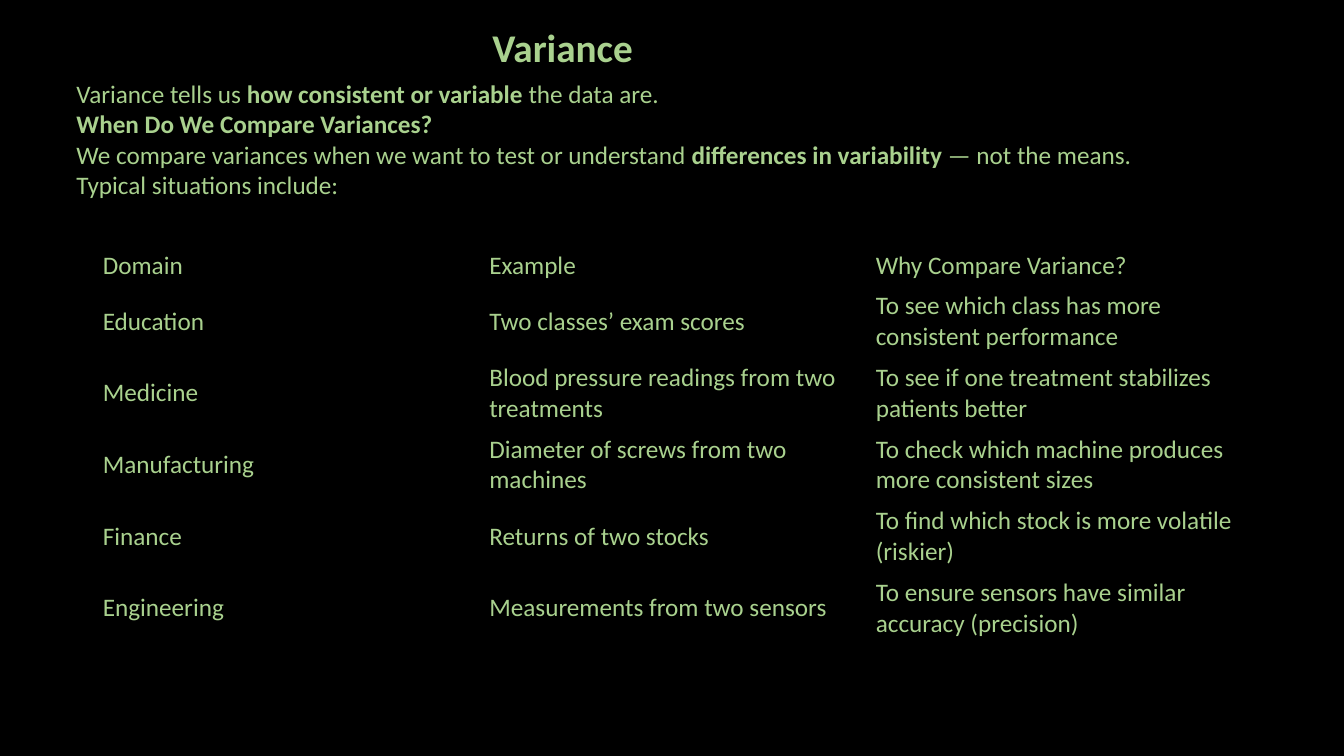
from dataclasses import dataclass

from pptx import Presentation
from pptx.dml.color import RGBColor
from pptx.enum.text import MSO_ANCHOR, MSO_AUTO_SIZE, PP_ALIGN
from pptx.oxml.ns import qn
from pptx.util import Inches, Pt

MIDDLE, TOP = MSO_ANCHOR.MIDDLE, MSO_ANCHOR.TOP
CENTER, LEFT = PP_ALIGN.CENTER, PP_ALIGN.LEFT
FIT_SHAPE, FIT_NONE = MSO_AUTO_SIZE.SHAPE_TO_FIT_TEXT, MSO_AUTO_SIZE.NONE
TITLE_ONLY_LAYOUT = 5
PLAIN_TABLE_STYLE = "{2D5ABB26-0587-4C30-8999-92F81FD0307C}"


@dataclass(frozen=True)
class Theme:
    background: RGBColor = RGBColor(0x00, 0x00, 0x00)
    text: RGBColor = RGBColor(0xA9, 0xD1, 0x8E)
    font: str = "Calibri"
    title_size: int = 28
    body_size: int = 18


@dataclass(frozen=True)
class Situation:
    domain: str
    example: str
    reason: str


THEME = Theme()
HEADER = Situation("Domain", "Example", "Why Compare Variance?")
SITUATIONS = [
    Situation("Education", "Two classes’ exam scores",
              "To see which class has more consistent performance"),
    Situation("Medicine", "Blood pressure readings from two treatments",
              "To see if one treatment stabilizes patients better"),
    Situation("Manufacturing", "Diameter of screws from two machines",
              "To check which machine produces more consistent sizes"),
    Situation("Finance", "Returns of two stocks",
              "To find which stock is more volatile (riskier)"),
    Situation("Engineering", "Measurements from two sensors",
              "To ensure sensors have similar accuracy (precision)"),
]
# Text between ** marks is bold; \v breaks the line inside a paragraph
INTRO = [
    "Variance tells us **how consistent or variable** the data are.",
    "**When Do We Compare Variances?**",
    "We compare variances when we want to test or understand "
    "**differences in variability** — not the means.\vTypical situations include:",
]


def write_paragraph(para, text: str, *, size: int = THEME.body_size,
                    align=LEFT, line_spacing: float = 1.0) -> None:
    """Write text into a paragraph, with ** marks around bold parts."""
    para.alignment = align
    para.line_spacing = line_spacing
    for part_index, part in enumerate(text.split("**")):
        for line_index, line in enumerate(part.split("\v")):
            if line_index:
                para.add_line_break()
            if not line:
                continue
            span = para.add_run()
            span.text = line
            span.font.name = THEME.font
            span.font.size = Pt(size)
            span.font.color.rgb = THEME.text
            span.font.bold = part_index % 2 == 1


def add_title(page) -> None:
    title = page.shapes.title
    title.left, title.top = Inches(0.77), Inches(0.2)
    title.width, title.height = Inches(9.62), Inches(0.58)
    title.text_frame.auto_size = FIT_NONE
    title.text_frame.vertical_anchor = MIDDLE
    write_paragraph(title.text_frame.paragraphs[0], "**Variance**",
                    size=THEME.title_size, align=CENTER, line_spacing=0.9)


def add_intro(page) -> None:
    box = page.shapes.add_textbox(Inches(0.66), Inches(0.73),
                                  Inches(12.07), Inches(1.31))
    frame = box.text_frame
    frame.word_wrap = True
    frame.auto_size = FIT_SHAPE
    frame.vertical_anchor = TOP
    for index, text in enumerate(INTRO):
        para = frame.add_paragraph() if index else frame.paragraphs[0]
        write_paragraph(para, text)


def add_situations(page) -> None:
    rows = [HEADER, *SITUATIONS]
    table = page.shapes.add_table(len(rows), 3, Inches(0.92), Inches(2.43),
                                  Inches(11.5), Inches(3.95)).table
    # Plain style: no bands, fills or borders
    table.first_row = False
    table.horz_banding = False
    table._tbl.tblPr.find(qn("a:tableStyleId")).text = PLAIN_TABLE_STYLE

    for row_index, situation in enumerate(rows):
        table.rows[row_index].height = Inches(0.71 if row_index else 0.4)
        texts = (situation.domain, situation.example, situation.reason)
        for cell, text in zip(table.rows[row_index].cells, texts):
            cell.fill.background()
            cell.vertical_anchor = MIDDLE
            write_paragraph(cell.text_frame.paragraphs[0], text)


def main() -> None:
    deck = Presentation()
    deck.slide_width, deck.slide_height = Inches(13.33), Inches(7.5)
    page = deck.slides.add_slide(deck.slide_layouts[TITLE_ONLY_LAYOUT])
    page.background.fill.solid()
    page.background.fill.fore_color.rgb = THEME.background

    add_title(page)
    add_situations(page)
    add_intro(page)
    deck.save("out.pptx")


if __name__ == "__main__":
    main()
